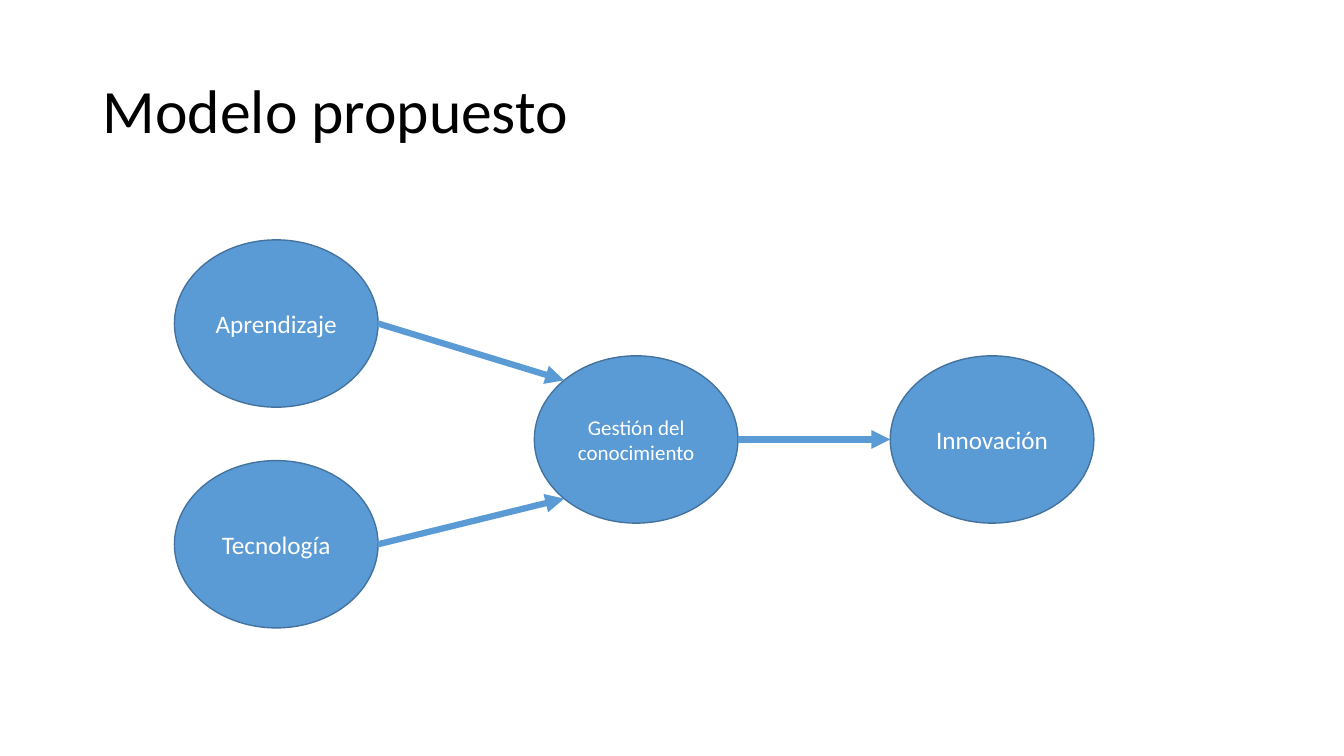
from math import sqrt

from lxml import etree
from pptx import Presentation
from pptx.dml.color import RGBColor
from pptx.enum.shapes import MSO_CONNECTOR, MSO_SHAPE
from pptx.enum.text import MSO_ANCHOR, MSO_AUTO_SIZE, PP_ALIGN
from pptx.oxml.ns import qn
from pptx.util import Inches, Pt

OVAL, STRAIGHT = MSO_SHAPE.OVAL, MSO_CONNECTOR.STRAIGHT
LEFT, CENTER, MIDDLE = PP_ALIGN.LEFT, PP_ALIGN.CENTER, MSO_ANCHOR.MIDDLE
NO_AUTOFIT = MSO_AUTO_SIZE.NONE
TITLE_ONLY = 5

DIAGONAL = (1 - sqrt(0.5)) / 2
SITES = {
    "right": (1, 0.5),
    "left": (0, 0.5),
    "top left": (DIAGONAL, DIAGONAL),
    "bottom left": (DIAGONAL, 1 - DIAGONAL),
}


def color(hex_string):
    return RGBColor.from_string(hex_string)


def write(shape, text, *, size, font, fill, align=CENTER, spacing=1.0):
    frame = shape.text_frame
    frame.text = text
    frame.word_wrap = True
    frame.auto_size = NO_AUTOFIT
    frame.vertical_anchor = MIDDLE
    paragraph = frame.paragraphs[0]
    paragraph.alignment = align
    paragraph.line_spacing = spacing
    run_font = paragraph.runs[0].font
    run_font.name = font
    run_font.size = Pt(size)
    run_font.color.rgb = color(fill)


class ModelSlide:
    """Style and current slide; lengths are percentages of the slide's size."""

    font = "Calibri"
    title_color = "000000"
    node_color = "5B9BD5"
    outline_color = "43739E"
    label_color = "FFFFFF"
    node_size = (15.15, 22.13)

    def __init__(self, presentation):
        self.width = presentation.slide_width
        self.height = presentation.slide_height
        layout = presentation.slide_layouts[TITLE_ONLY]
        self.slide = presentation.slides.add_slide(layout)

    def box(self, left, top, width, height):
        return (round(left * self.width / 100), round(top * self.height / 100),
                round(width * self.width / 100), round(height * self.height / 100))

    def title(self, text, *place):
        shape = self.slide.shapes.title
        shape.left, shape.top, shape.width, shape.height = self.box(*place)
        write(shape, text, size=44, font=self.font, fill=self.title_color,
              align=LEFT, spacing=0.9)

    def node(self, text, left, top, size=18):
        place = self.box(left, top, *self.node_size)
        shape = self.slide.shapes.add_shape(OVAL, *place)
        shape.shadow.inherit = False
        shape.fill.solid()
        shape.fill.fore_color.rgb = color(self.node_color)
        shape.line.color.rgb = color(self.outline_color)
        shape.line.width = Pt(1)
        write(shape, text, size=size, font=self.font, fill=self.label_color)
        return shape

    def site(self, node, name):
        across, down = SITES[name]
        return (round(node.left + across * node.width),
                round(node.top + down * node.height))

    def arrow(self, source, target, target_site):
        start, end = self.site(source, "right"), self.site(target, target_site)
        connector = self.slide.shapes.add_connector(STRAIGHT, *start, *end)
        connector.line.color.rgb = color(self.node_color)
        connector.line.width = Pt(4.5)
        properties = connector.line._get_or_add_ln()
        etree.SubElement(properties, qn("a:tailEnd"), type="triangle")
        etree.SubElement(connector._element.spPr, qn("a:effectLst"))


presentation = Presentation()
presentation.slide_width = Inches(13.33)
presentation.slide_height = Inches(7.5)

model = ModelSlide(presentation)
model.title("Modelo propuesto", 6.9, 5.33, 86.27, 19.33)

learning = model.node("Aprendizaje", 12.98, 31.73)
technology = model.node("Tecnología", 12.98, 60.93)
knowledge = model.node("Gestión del conocimiento", 39.76, 47.07, size=15)
innovation = model.node("Innovación", 66.24, 47.07)

model.arrow(learning, knowledge, "top left")
model.arrow(technology, knowledge, "bottom left")
model.arrow(knowledge, innovation, "left")

presentation.save("out.pptx")
